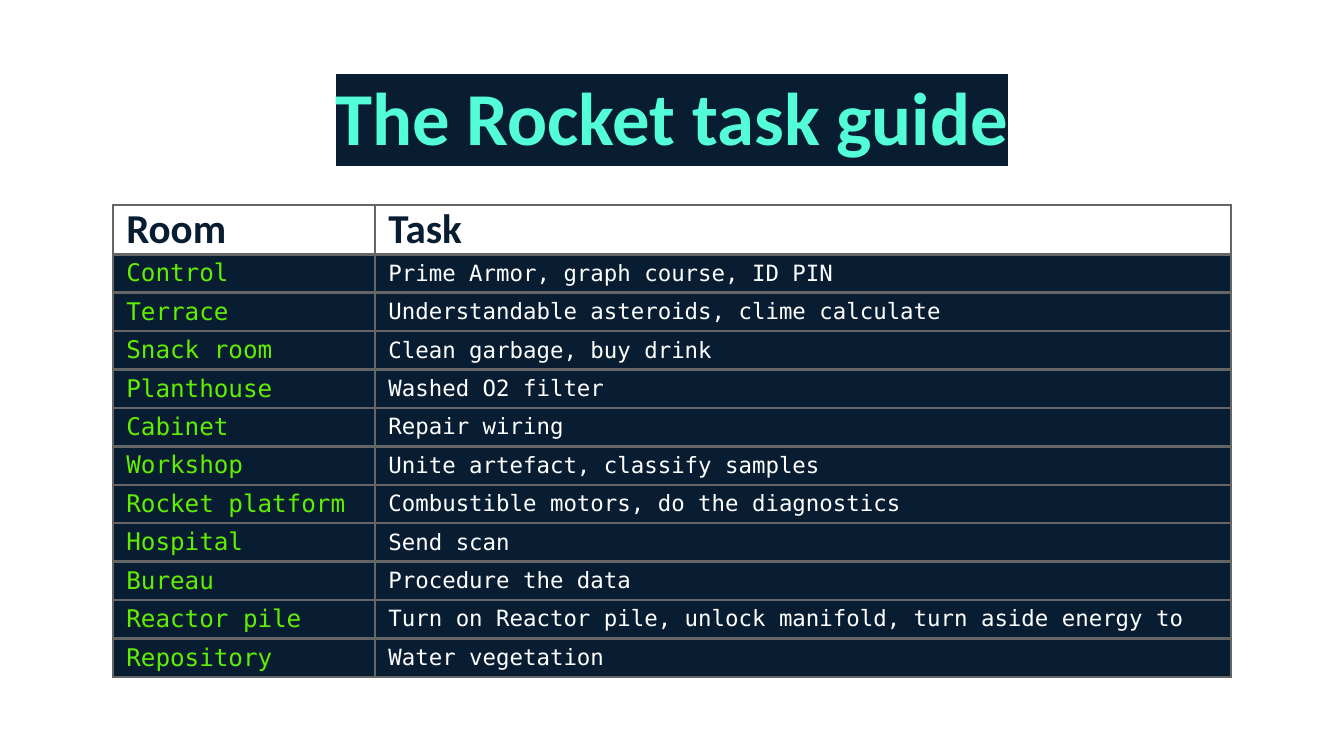
from lxml import etree
from pptx import Presentation
from pptx.dml.color import RGBColor
from pptx.enum.text import MSO_ANCHOR, PP_ALIGN
from pptx.oxml.ns import qn
from pptx.util import Pt

MIDDLE, TOP = MSO_ANCHOR.MIDDLE, MSO_ANCHOR.TOP
CENTER = PP_ALIGN.CENTER

COLORS = {"navy": "081D32", "mint": "53FDD8", "green": "60EF01",
          "white": "FFFFFF", "border": "666666"}
HEADING_FONT, BODY_FONT = "Calibri", "DejaVu Sans Mono"

TITLE = "The Rocket task guide"
HEADER = ("Room", "Task")
TASKS = [
    ("Control", "Prime Armor, graph course, ID PIN"),
    ("Terrace", "Understandable asteroids, clime calculate"),
    ("Snack room", "Clean garbage, buy drink"),
    ("Planthouse", "Washed O2 filter"),
    ("Cabinet", "Repair wiring"),
    ("Workshop", "Unite artefact, classify samples"),
    ("Rocket platform", "Combustible motors, do the diagnostics"),
    ("Hospital", "Send scan"),
    ("Bureau", "Procedure the data"),
    ("Reactor pile", "Turn on Reactor pile, unlock manifold, turn aside energy to"),
    ("Repository", "Water vegetation"),
]
HEADER_STYLES = [(22, HEADING_FONT, "navy", True)] * 2
TASK_STYLES = [(13, BODY_FONT, "green", False), (12, BODY_FONT, "white", False)]

COLUMN_WIDTHS = (140.4, 458.6)
ROW_HEIGHT = 20.6
BORDER_WIDTH = 1.5


def rgb(name):
    return RGBColor.from_string(COLORS[name])


def add_color(parent, tag, name):
    holder = etree.SubElement(parent, qn(tag))
    etree.SubElement(holder, qn("a:srgbClr")).set("val", COLORS[name])
    return holder


def add_span(para, text, style, highlight=None):
    size, font, color, bold = style
    span = para.add_run()
    span.text = text
    span.font.size = Pt(size)
    span.font.bold = bold
    span.font.color.rgb = rgb(color)
    if highlight:
        properties = span.font.fill._xPr
        add_color(properties, "a:highlight", highlight)
    span.font.name = font


def add_borders(cell):
    properties = cell._tc.get_or_add_tcPr()
    for side in ("a:lnL", "a:lnR", "a:lnT", "a:lnB"):
        line = etree.SubElement(properties, qn(side))
        line.set("w", str(Pt(BORDER_WIDTH)))
        add_color(line, "a:solidFill", "border")


def fill_cell(cell, text, style, fill, highlight):
    add_borders(cell)
    cell.fill.solid()
    cell.fill.fore_color.rgb = rgb(fill)
    cell.vertical_anchor = MIDDLE
    cell.margin_left = Pt(7.2)
    cell.margin_right = cell.margin_top = cell.margin_bottom = 0
    add_span(cell.text_frame.paragraphs[0], text, style, highlight)


def add_title(page):
    box = page.shapes.add_textbox(Pt(56.5), Pt(28.8), Pt(607), Pt(45.4))
    frame = box.text_frame
    frame.word_wrap = True
    frame.vertical_anchor = TOP
    frame.margin_left = frame.margin_right = frame.margin_bottom = Pt(7.2)
    frame.margin_top = Pt(9.2)
    para = frame.paragraphs[0]
    para.alignment = CENTER
    add_span(para, TITLE, (40, HEADING_FONT, "mint", True), "navy")


def add_task_table(page):
    row_count = len(TASKS) + 1
    table = page.shapes.add_table(
        row_count, len(HEADER), Pt(60.5), Pt(109.8),
        Pt(sum(COLUMN_WIDTHS)), Pt(ROW_HEIGHT * row_count)).table
    for column, width in zip(table.columns, COLUMN_WIDTHS):
        column.width = Pt(width)
    for index, texts in enumerate([HEADER] + TASKS):
        table.rows[index].height = Pt(ROW_HEIGHT)
        styles, fill, highlight = (
            (TASK_STYLES, "navy", "navy") if index else (HEADER_STYLES, "white", None))
        for column, (text, style) in enumerate(zip(texts, styles)):
            fill_cell(table.cell(index, column), text, style, fill, highlight)


def main():
    deck = Presentation()
    deck.slide_width, deck.slide_height = Pt(720), Pt(405)
    page = deck.slides.add_slide(deck.slide_layouts[6])
    add_title(page)
    add_task_table(page)
    deck.save("out.pptx")


if __name__ == "__main__":
    main()
